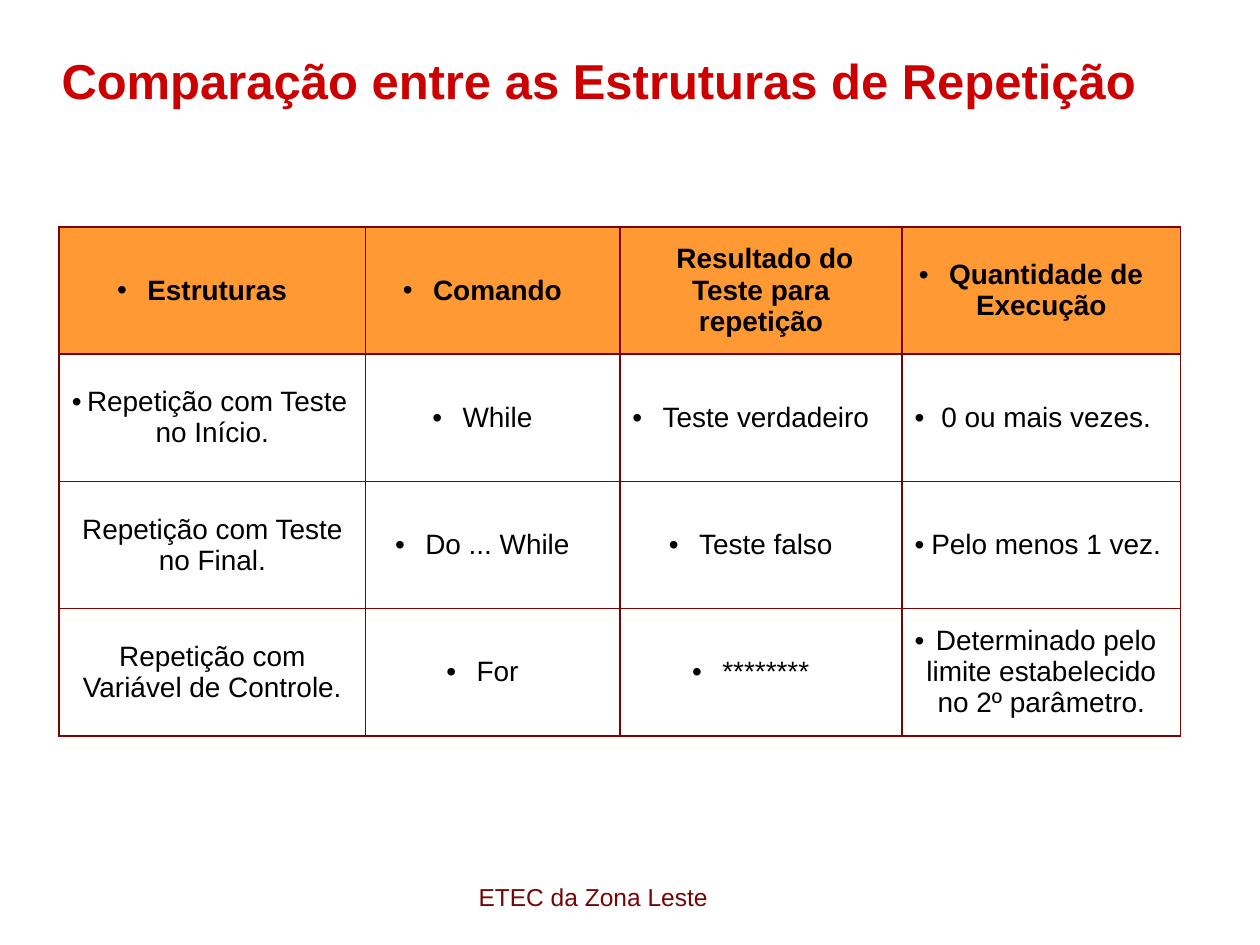
import pptx
import pptx.util
import pptx.dml.color
import pptx.enum.text
import pptx.oxml.ns
import lxml.etree

Inches = pptx.util.Inches
Pt = pptx.util.Pt
RGBColor = pptx.dml.color.RGBColor
Anchor = pptx.enum.text.MSO_ANCHOR
Align = pptx.enum.text.PP_ALIGN
qn = pptx.oxml.ns.qn

RED = RGBColor(0xCC, 0x00, 0x00)
MAROON = RGBColor(0x77, 0x05, 0x04)
ORANGE = RGBColor(0xFF, 0x99, 0x33)
WHITE = RGBColor(0xFF, 0xFF, 0xFF)
BLACK = RGBColor(0x00, 0x00, 0x00)


class Deck:
    font = "Arial"
    bullet_gap = Inches(0.24)

    def __init__(self, slide):
        self.s = slide

    def style(self, p, size, color, bold=False):
        for r in p.runs:
            r.font.name = self.font
            r.font.size = Pt(size)
            r.font.bold = bold
            r.font.color.rgb = color

    def text(self, box, text, size, color, bold=False, anchor=Anchor.TOP, wrap=True):
        sp = self.s.shapes.add_textbox(*map(Inches, box))
        tf = sp.text_frame
        tf.word_wrap = wrap
        tf.vertical_anchor = anchor
        tf.text = text
        self.style(tf.paragraphs[0], size, color, bold)

    def bullet(self, p):
        p.space_before = Pt(3.2)
        pPr = p._p.get_or_add_pPr()
        pPr.set("marL", "0")
        pPr.set("indent", str(-self.bullet_gap))
        lxml.etree.SubElement(pPr, qn("a:buFont")).set("typeface", self.font)
        lxml.etree.SubElement(pPr, qn("a:buChar")).set("char", "•")

    def borders(self, cell, color):
        tcPr = cell._tc.get_or_add_tcPr()
        for side in ("lnL", "lnR", "lnT", "lnB"):
            ln = lxml.etree.SubElement(tcPr, qn("a:" + side))
            ln.set("w", str(Pt(1)))
            fill = lxml.etree.SubElement(ln, qn("a:solidFill"))
            lxml.etree.SubElement(fill, qn("a:srgbClr")).set("val", str(color))

    def table(self, left, top, widths, row_height, rows, plain):
        frame = self.s.shapes.add_table(
            len(rows), len(widths), Inches(left), Inches(top),
            Inches(sum(widths)), Inches(row_height * len(rows)))
        table = frame.table
        for column, width in zip(table.columns, widths):
            column.width = Inches(width)
        for i, row in enumerate(rows):
            table.rows[i].height = Inches(row_height)
            for j, text in enumerate(row):
                cell = table.cell(i, j)
                cell.text = text
                cell.vertical_anchor = Anchor.MIDDLE
                self.borders(cell, MAROON)
                cell.fill.solid()
                cell.fill.fore_color.rgb = ORANGE if i == 0 else WHITE
                p = cell.text_frame.paragraphs[0]
                p.alignment = Align.CENTER
                if (i, j) not in plain:
                    self.bullet(p)
                self.style(p, 16, BLACK, bold=i == 0)


prs = pptx.Presentation()
prs.slide_width = Inches(10)
prs.slide_height = Inches(7.5)
deck = Deck(prs.slides.add_slide(prs.slide_layouts[6]))

deck.text((3.7, 6.95, 2.03, 0.34), "ETEC da Zona Leste", 14, MAROON, wrap=False)
deck.text((0.39, 0.07, 9.36, 0.85), "Comparação entre as Estruturas de Repetição",
          28, RED, bold=True, anchor=Anchor.BOTTOM)

rows = [
    ("Estruturas", "Comando", " Resultado do Teste para repetição",
     "Quantidade de Execução"),
    ("Repetição com Teste no Início.", "While", "Teste verdadeiro",
     "0 ou mais vezes."),
    ("Repetição com Teste no Final.", "Do ... While", "Teste falso",
     "Pelo menos 1 vez."),
    ("Repetição com Variável de Controle.", "For", "********",
     "Determinado pelo limite estabelecido no 2º parâmetro."),
]
deck.table(0.47, 1.8, (2.43, 2.02, 2.24, 2.21), 1.01, rows,
           plain={(0, 2), (2, 0), (3, 0)})

prs.save("out.pptx")
